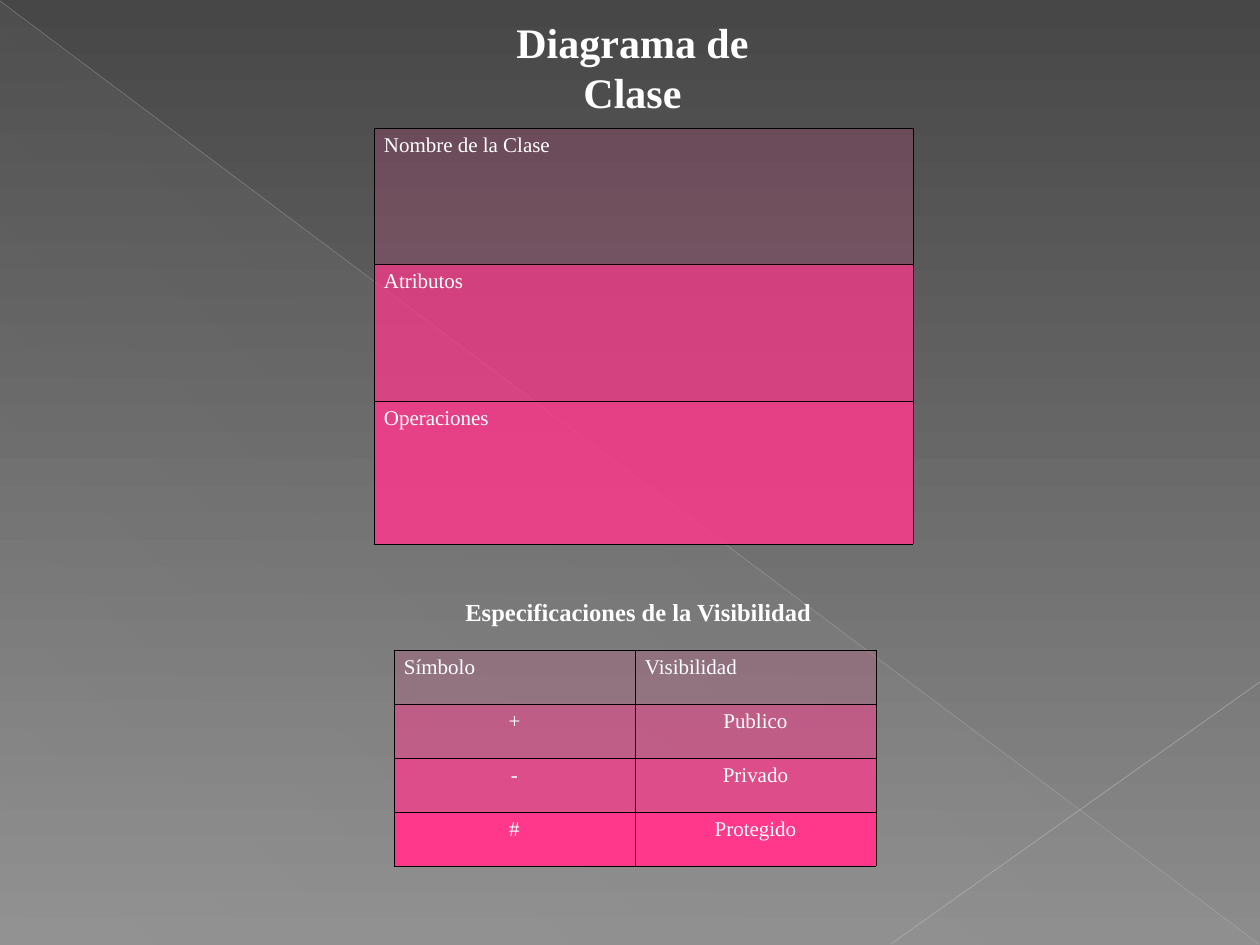
from dataclasses import dataclass

from lxml.etree import SubElement
from pptx import Presentation
from pptx.dml.color import RGBColor as Rgb
from pptx.enum.shapes import MSO_CONNECTOR as Conn, MSO_SHAPE as Geo
from pptx.enum.text import MSO_ANCHOR as Anchor, MSO_AUTO_SIZE as Fit, PP_ALIGN as Align
from pptx.oxml import parse_xml
from pptx.oxml.ns import nsdecls, qn
from pptx.util import Pt

PX = 914400 // 126
FONT = "Times New Roman"
HEX = {"top": "474747", "base": "8C8C8C", "sheen": "D2D2D2", "long": "BFBFBF",
       "short": "C6C6C6", "pink": "FF388C", "text": "FFFFFF", "edge": "000000"}


@dataclass
class Ray:
    ends: tuple[int, int, int, int]
    color: str
    width: float
    alpha: int


@dataclass
class Row:
    cells: list[str]
    high: int
    alpha: int
    align: Align = Align.LEFT


@dataclass
class Grid:
    left: int
    top: int
    col: int
    rows: list[Row]


RAYS = [Ray((0, 1, 1259, 944), "long", 0.4, 35),
        Ray((1260, 682, 891, 944), "short", 0.48, 45)]
GRIDS = [
    Grid(374, 128, 539, [Row(["Nombre de la Clase"], 136, 16),
                         Row(["Atributos"], 137, 73),
                         Row(["Operaciones"], 143, 83)]),
    Grid(394, 650, 241, [Row(["Símbolo", "Visibilidad"], 54, 15),
                         Row(["+", "Publico"], 54, 49, Align.CENTER),
                         Row(["-", "Privado"], 54, 72, Align.CENTER),
                         Row(["#", "Protegido"], 54, 100, Align.CENTER)]),
]


def rgb(name: str) -> Rgb:
    return Rgb.from_string(HEX[name])


def px(*nums: int) -> list[int]:
    return [n * PX for n in nums]


def fade(node, *alphas: int) -> None:
    for color, alpha in zip(node.iter(qn("a:srgbClr")), alphas):
        SubElement(color, qn("a:alpha")).set("val", str(alpha * 1000))


def blend(fill, names: list[str], angle: int) -> None:
    fill.gradient()
    fill.gradient_angle = angle
    for stop, name in zip(fill.gradient_stops, names):
        stop.color.rgb = rgb(name)


def write(frame, text: str, size: int, bold: bool, align: Align) -> None:
    frame.text = text
    para = frame.paragraphs[0]
    para.alignment = align
    for run in para.runs:
        font = run.font
        font.name, font.size, font.bold = FONT, Pt(size), bold
        font.color.rgb = rgb("text")


def draw_ray(shapes, ray: Ray) -> None:
    line = shapes.add_connector(Conn.STRAIGHT, *px(*ray.ends))
    line.line.color.rgb = rgb(ray.color)
    line.line.width = Pt(ray.width)
    props = line.element.spPr
    fade(props, ray.alpha)
    SubElement(props, qn("a:effectLst"))


def draw_cell(cell, text: str, row: Row) -> None:
    write(cell.text_frame, text, 12, False, row.align)
    cell.margin_left = cell.margin_right = 10 * PX
    cell.fill.solid()
    cell.fill.fore_color.rgb = rgb("pink")
    props = cell._tc.get_or_add_tcPr()
    if row.alpha < 100:
        fade(props, row.alpha)
    for i, side in enumerate("LRTB"):
        props.insert(i, parse_xml(
            f'<a:ln{side} {nsdecls("a")} w="{Pt(0.45)}"><a:solidFill>'
            f'<a:srgbClr val="{HEX["edge"]}"/></a:solidFill></a:ln{side}>'))


def draw_grid(shapes, grid: Grid) -> None:
    count = len(grid.rows[0].cells)
    box = px(grid.left, grid.top, grid.col * count, sum(r.high for r in grid.rows))
    table = shapes.add_table(len(grid.rows), count, *box).table
    for col in table.columns:
        col.width = grid.col * PX
    for i, row in enumerate(grid.rows):
        table.rows[i].height = row.high * PX
        for j, text in enumerate(row.cells):
            draw_cell(table.cell(i, j), text, row)


deck = Presentation()
deck.slide_width, deck.slide_height = px(1260, 945)
slide = deck.slides.add_slide(deck.slide_layouts[5])
shapes = slide.shapes

# Background, sheen and rays
blend(slide.background.fill, ["top", "base"], 270)
sheen = shapes.add_shape(Geo.RIGHT_TRIANGLE, *px(1, 2, 1259, 943))
sheen.shadow.inherit = False
sheen.line.fill.background()
blend(sheen.fill, ["sheen", "sheen"], 227)
fade(sheen.element.spPr, 1, 10)
for ray in RAYS:
    draw_ray(shapes, ray)

# Title, in front of the sheen
title = shapes.title
title.left, title.top, title.width, title.height = px(450, 35, 365, 63)
frame = title.text_frame
frame.word_wrap = False
frame.auto_size = Fit.SHAPE_TO_FIT_TEXT
frame.vertical_anchor = Anchor.MIDDLE
write(frame, "Diagrama de Clase", 24, True, Align.CENTER)
title.element.getparent().append(title.element)

# Tables
for grid in GRIDS:
    draw_grid(shapes, grid)

# Heading of the lower table
head = shapes.add_textbox(*px(453, 591, 394, 72)).text_frame
head.word_wrap = True
write(head, "Especificaciones de la Visibilidad", 14, True, Align.LEFT)

deck.save("out.pptx")
